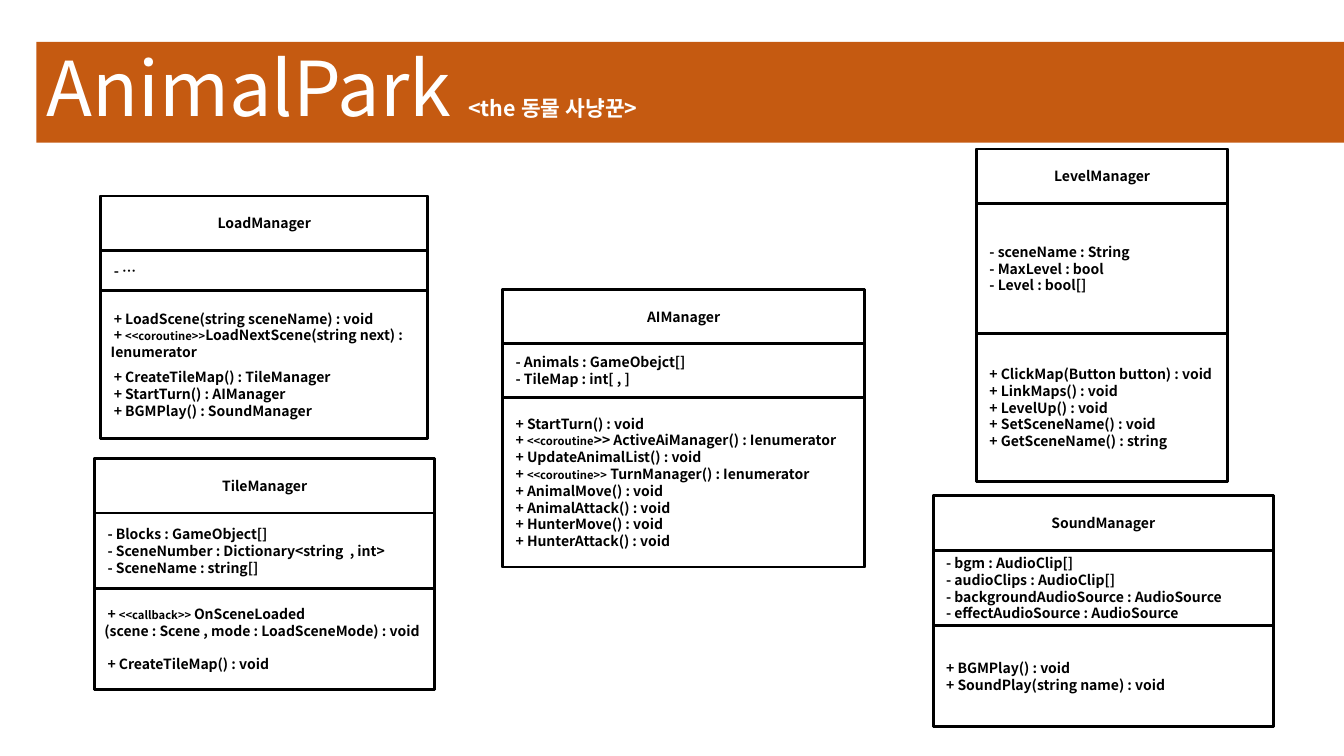
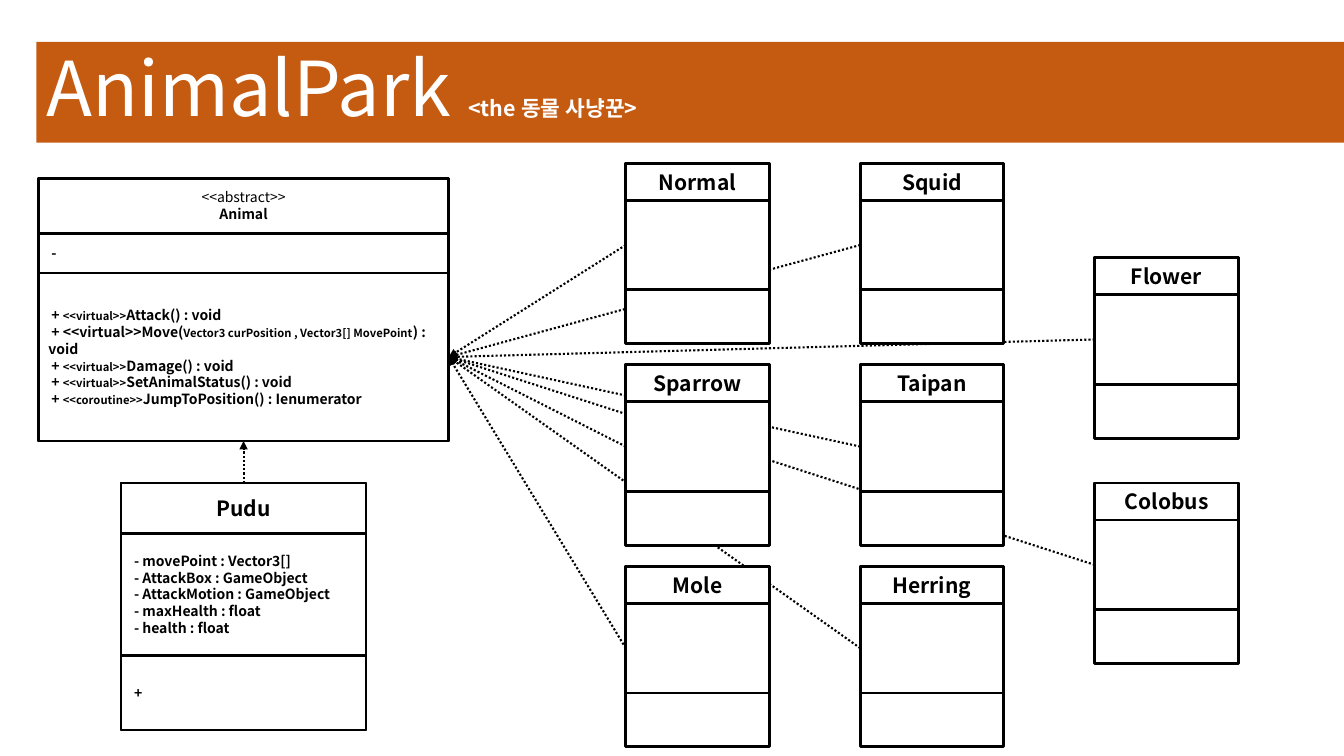
from dataclasses import dataclass

import pptx
import pptx.dml.color
import pptx.enum.dml
import pptx.enum.shapes
import pptx.enum.text
import pptx.oxml
import pptx.oxml.ns
import pptx.util

Pt = pptx.util.Pt
ALIGN = pptx.enum.text.PP_ALIGN
MIDDLE = pptx.enum.text.MSO_ANCHOR.MIDDLE


@dataclass(frozen=True)
class Theme:
    font: str = "Noto Sans CJK KR"
    band: str = "C55A11"
    ink: str = "000000"
    paper: str = "FFFFFF"
    title_size: float = 54
    subtitle_size: float = 15.3
    name_size: float = 15
    text_size: float = 10
    stereotype_size: float = 8
    border: float = 2
    link: float = 1.5
    member_indent: float = 2.2


THEME = Theme()


@dataclass(frozen=True)
class Box:
    left: float
    top: float
    width: float
    height: float

    def lengths(self):
        return [Pt(value) for value in (self.left, self.top, self.width, self.height)]

    def band(self, offset, height):
        return Box(self.left, self.top + offset, self.width, height)


@dataclass(frozen=True)
class Line:
    texts: tuple
    size: float = THEME.text_size
    bold: bool = True
    align: ALIGN = ALIGN.LEFT
    indent: float = THEME.member_indent
    before: float = 0


TITLE_BOX = Box(26, 30, 934, 72)


def rgb(value):
    return pptx.dml.color.RGBColor.from_string(value)


def add_text(para, text, *, size, bold=False, color=THEME.ink):
    span = para.add_run()
    span.text = text
    span.font.name = THEME.font
    span.font.size = Pt(size)
    span.font.bold = bold
    span.font.color.rgb = rgb(color)
    east_asian = pptx.oxml.parse_xml(
        f'<a:ea {pptx.oxml.ns.nsdecls("a")} typeface="{THEME.font}"/>')
    span._r.get_or_add_rPr().append(east_asian)


def member(*texts, **options):
    return Line(texts, **options)


def members(*texts):
    return [member(text) for text in texts]


def heading(text, **options):
    return Line((text,), align=ALIGN.CENTER, indent=0, **options)


def add_line(para, line):
    para.alignment = line.align
    para.space_before = Pt(line.before)
    para._p.get_or_add_pPr().set("indent", str(Pt(line.indent)))
    for index, text in enumerate(line.texts):
        size = THEME.stereotype_size if index % 2 else line.size
        add_text(para, text, size=size, bold=line.bold)


def add_compartment(group, box, lines=(), fill=None):
    shape = group.shapes.add_shape(
        pptx.enum.shapes.MSO_SHAPE.RECTANGLE, *box.lengths())
    shape.shadow.inherit = False
    if fill:
        shape.fill.solid()
        shape.fill.fore_color.rgb = rgb(fill)
    else:
        shape.fill.background()
    shape.line.color.rgb = rgb(THEME.ink)
    shape.line.width = Pt(THEME.border)
    frame = shape.text_frame
    frame.word_wrap = True
    frame.vertical_anchor = MIDDLE
    for index, line in enumerate(lines):
        add_line(frame.add_paragraph() if index else frame.paragraphs[0], line)


def add_class(page, box, sections, fill=None):
    group = page.shapes.add_group_shape()
    add_compartment(group, box, fill=fill)
    offset = 0
    for height, lines in sections:
        add_compartment(group, box.band(offset, height), lines, fill)
        offset += height


def add_full_class(page, left, top, width, sections):
    box = Box(left, top, width, sum(height for height, _ in sections))
    add_class(page, box, sections)


def add_link(page, start, end):
    link = page.shapes.add_connector(
        pptx.enum.shapes.MSO_CONNECTOR.STRAIGHT,
        *[Pt(value) for value in (*start, *end)])
    link.line.color.rgb = rgb(THEME.ink)
    link.line.width = Pt(THEME.link)
    link.line.dash_style = pptx.enum.dml.MSO_LINE.ROUND_DOT
    namespace = pptx.oxml.ns.nsdecls("a")
    properties = link.element.spPr
    properties.find(pptx.oxml.ns.qn("a:ln")).append(
        pptx.oxml.parse_xml(f'<a:tailEnd {namespace} type="triangle"/>'))
    properties.append(pptx.oxml.parse_xml(f"<a:effectLst {namespace}/>"))


def add_page(deck):
    page = deck.slides.add_slide(deck.slide_layouts[5])
    title = page.shapes.title
    title.left, title.top, title.width, title.height = TITLE_BOX.lengths()
    title.fill.solid()
    title.fill.fore_color.rgb = rgb(THEME.band)
    frame = title.text_frame
    frame.word_wrap = True
    frame.auto_size = pptx.enum.text.MSO_AUTO_SIZE.NONE
    frame.vertical_anchor = MIDDLE
    para = frame.paragraphs[0]
    para.alignment = ALIGN.LEFT
    para.line_spacing = 0.9
    add_text(para, "AnimalPark ", size=THEME.title_size, color=THEME.paper)
    add_text(para, "<the 동물 사냥꾼>", size=THEME.subtitle_size, bold=True,
             color=THEME.paper)
    return page


def build_managers(deck):
    page = add_page(deck)
    add_full_class(page, 72, 140, 233.5, [
        (39, [heading("LoadManager")]),
        (28.5, members("- …")),
        (106, [
            member("+ LoadScene(string sceneName) : void"),
            member("+ ", "<<coroutine>>", "LoadNextScene(string next) : Ienumerator"),
            member("+ CreateTileMap() : TileManager", before=6),
            *members("+ StartTurn() : AIManager", "+ BGMPlay() : SoundManager"),
        ]),
    ])
    add_full_class(page, 67.5, 327.5, 243, [
        (39, [heading("TileManager")]),
        (54, members("- Blocks : GameObject[]",
                     "- SceneNumber : Dictionary<string  , int>",
                     "- SceneName : string[]")),
        (72, [
            member("+ ", "<<callback>> ", "OnSceneLoaded"),
            member("(scene : Scene , mode : LoadSceneMode) : void", indent=0),
            member("+ CreateTileMap() : void", before=12),
        ]),
    ])
    add_full_class(page, 359, 207, 258.5, [
        (38.5, [heading("AIManager")]),
        (38.5, members("- Animals : GameObejct[]", "- TileMap : int[ , ]")),
        (121, [
            member("+ StartTurn() : void"),
            member("+ ", "<<coroutine", ">> ActiveAiManager() : Ienumerator"),
            member("+ UpdateAnimalList() : void"),
            member("+ ", "<<coroutine>>", " TurnManager() : Ienumerator"),
            *members("+ AnimalMove() : void", "+ AnimalAttack() : void",
                     "+ HunterMove() : void", "+ HunterAttack() : void"),
        ]),
    ])
    add_full_class(page, 697.5, 106.5, 179.5, [
        (39, [heading("LevelManager")]),
        (92.5, members("- sceneName : String", "- MaxLevel : bool",
                       "- Level : bool[]")),
        (106, members("+ ClickMap(Button button) : void", "+ LinkMaps() : void",
                      "+ LevelUp() : void", "+ SetSceneName() : void",
                      "+ GetSceneName() : string")),
    ])
    add_full_class(page, 666.5, 354, 243, [
        (39, [heading("SoundManager")]),
        (54, members("- bgm : AudioClip[]", "- audioClips : AudioClip[]",
                     "- backgroundAudioSource : AudioSource",
                     "- effectAudioSource : AudioSource")),
        (72, members("+ BGMPlay() : void", "+ SoundPlay(string name) : void")),
    ])


def build_animals(deck):
    page = add_page(deck)
    name_height, field_height = 26.5, 64
    columns = [447 + 167.5 * index for index in range(3)]
    rows = [116.5 + 144 * index for index in range(3)]
    animals = {
        "Normal": (columns[0], rows[0]),
        "Squid": (columns[1], rows[0]),
        "Flower": (columns[2], 184),
        "Sparrow": (columns[0], rows[1]),
        "Taipan": (columns[1], rows[1]),
        "Mole": (columns[0], rows[2]),
        "Herring": (columns[1], rows[2]),
        "Colobus": (columns[2], 345),
    }
    base = Box(27.5, 127.5, 293, 187.5)
    method_height = 120
    base_bottom = base.top + base.height
    base_port = (base.left + base.width, base_bottom - method_height / 2)
    for left, top in animals.values():
        add_link(page, (left, top + name_height + field_height / 2), base_port)
    base_center = base.left + base.width / 2
    add_link(page, (base_center, 345), (base_center, base_bottom))

    for name, (left, top) in animals.items():
        add_class(page, Box(left, top, 102.5, 129), [
            (name_height, [heading(name, size=THEME.name_size)]),
            (field_height, []),
        ], THEME.paper)
    add_class(page, base, [
        (39, [heading("<<abstract>>", bold=False), heading("Animal")]),
        (28.5, members("-")),
        (method_height, [
            member("+ ", "<<virtual>>", "Attack() : void"),
            member("+ <<virtual>>Move(", "Vector3 curPosition , Vector3[] MovePoint",
                   ") : void"),
            member("+ ", "<<virtual>>", "Damage() : void"),
            member("+ ", "<<virtual>>", "SetAnimalStatus() : void"),
            member("+ ", "<<coroutine>>", "JumpToPosition() : Ienumerator"),
        ]),
    ])
    add_full_class(page, 86.5, 345, 175, [
        (36, [heading("Pudu", size=THEME.name_size)]),
        (87, members("- movePoint : Vector3[]", "- AttackBox : GameObject",
                     "- AttackMotion : GameObject", "- maxHealth : float",
                     "- health : float")),
        (53.5, members("+")),
    ])


def main():
    deck = pptx.Presentation()
    deck.slide_width, deck.slide_height = Pt(960), Pt(540)
    build_managers(deck)
    build_animals(deck)
    deck.save("out.pptx")


if __name__ == "__main__":
    main()
